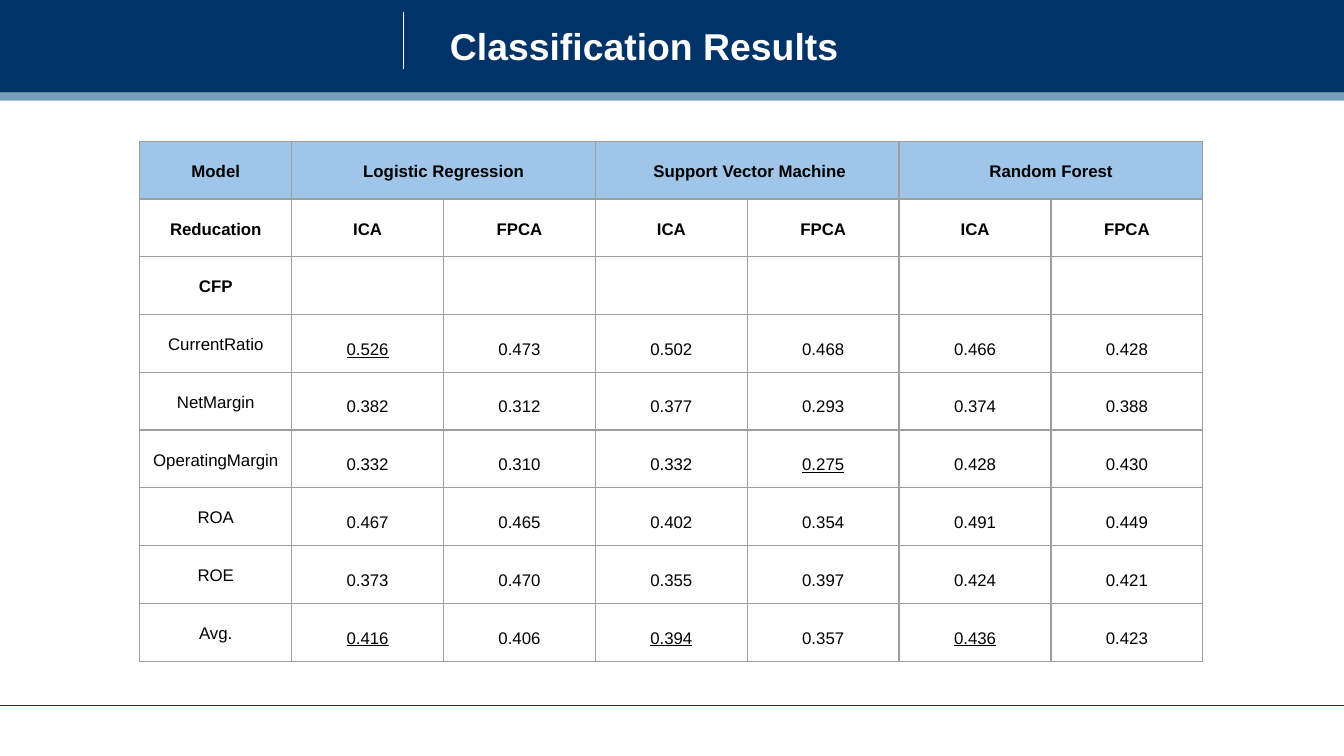
from lxml import etree
from pptx import Presentation
from pptx.dml.color import RGBColor
from pptx.enum.shapes import MSO_CONNECTOR, MSO_SHAPE
from pptx.enum.text import MSO_ANCHOR, PP_ALIGN
from pptx.oxml.ns import qn
from pptx.util import Inches, Pt

RECT = MSO_SHAPE.RECTANGLE
STRAIGHT = MSO_CONNECTOR.STRAIGHT
MIDDLE, BOTTOM = MSO_ANCHOR.MIDDLE, MSO_ANCHOR.BOTTOM
CENTER = PP_ALIGN.CENTER

FONT = "Arial"
NAVY, STEEL, SKY = "003368", "759FB8", "9FC5E8"
WHITE, BLACK, GRAY = "FFFFFF", "000000", "9E9E9E"
COL, ROW = 1.13, 0.43
HEADS = 3

ROWS = [
    ["Model", "Logistic Regression", "", " Support Vector Machine", "",
     "Random Forest", ""],
    ["Reducation"] + ["ICA", "FPCA"] * 3,
    ["CFP"] + [""] * 6,
    ["CurrentRatio", "0.526", "0.473", "0.502", "0.468", "0.466", "0.428"],
    ["NetMargin", "0.382", "0.312", "0.377", "0.293", "0.374", "0.388"],
    ["OperatingMargin", "0.332", "0.310", "0.332", "0.275", "0.428", "0.430"],
    ["ROA", "0.467", "0.465", "0.402", "0.354", "0.491", "0.449"],
    ["ROE", "0.373", "0.470", "0.355", "0.397", "0.424", "0.421"],
    ["Avg.", "0.416", "0.406", "0.394", "0.357", "0.436", "0.423"],
]
MARKED = {(3, 1), (5, 4), (8, 1), (8, 3), (8, 5)}


def color(code):
    """Turn a hex string into a colour."""
    return RGBColor.from_string(code)


def add_bar(slide, top, height, fill):
    """Add a plain bar across the slide."""
    bar = slide.shapes.add_shape(
        RECT, 0, Inches(top), Inches(10), Inches(height))
    bar.shadow.inherit = False
    bar.fill.solid()
    bar.fill.fore_color.rgb = color(fill)
    bar.line.fill.background()


def add_rule(slide, start, end, code):
    """Add a thin straight line between two points."""
    rule = slide.shapes.add_connector(
        STRAIGHT, *(Inches(v) for v in start + end))
    rule.line.color.rgb = color(code)
    rule.line.width = Pt(0.75)
    etree.SubElement(rule._element.spPr, qn("a:effectLst"))


def style(para, size, code, bold, under=False):
    """Set the font of a paragraph."""
    font = para.font
    font.name, font.size, font.bold = FONT, Pt(size), bold
    font.underline = under
    font.color.rgb = color(code)


def add_title(slide, text):
    """Add the slide title in the top bar."""
    box = slide.shapes.add_textbox(
        Inches(3.25), Inches(0.06), Inches(6.33), Inches(0.56))
    frame = box.text_frame
    frame.word_wrap = True
    frame.vertical_anchor = MIDDLE
    frame.text = text
    style(frame.paragraphs[0], 20, WHITE, True)


def set_edges(cell):
    """Draw a thin gray border on every side of a cell."""
    props = cell._tc.get_or_add_tcPr()
    for side in ("a:lnL", "a:lnR", "a:lnT", "a:lnB"):
        edge = etree.SubElement(props, qn(side), w=str(Pt(0.75)))
        fill = etree.SubElement(edge, qn("a:solidFill"))
        etree.SubElement(fill, qn("a:srgbClr"), val=GRAY)


def set_cell(cell, text, row, col):
    """Fill one cell with its text, margins, border and fill."""
    set_edges(cell)
    if row == 0:
        cell.fill.solid()
        cell.fill.fore_color.rgb = color(SKY)
    else:
        cell.fill.background()
    value = row >= HEADS and col > 0
    side, top, low = (0.01, 0.01, 0.1) if value else (0.08, 0.04, 0.04)
    cell.margin_left = cell.margin_right = Inches(side)
    cell.margin_top, cell.margin_bottom = Inches(top), Inches(low)
    cell.vertical_anchor = BOTTOM if value else MIDDLE
    cell.text = text
    para = cell.text_frame.paragraphs[0]
    para.alignment = CENTER
    para.line_spacing = 1.15
    style(para, 9, BLACK, row < HEADS, (row, col) in MARKED)


def add_grid(slide):
    """Add the table of scores by model and reduction."""
    count = len(ROWS[0])
    table = slide.shapes.add_table(
        len(ROWS), count, Inches(1.04), Inches(1.05),
        Inches(COL * count), Inches(ROW * len(ROWS))).table
    table.first_row = table.horz_banding = False
    for line in table.columns:
        line.width = Inches(COL)
    for line in table.rows:
        line.height = Inches(ROW)
    for row, texts in enumerate(ROWS):
        for col, text in enumerate(texts):
            set_cell(table.cell(row, col), text, row, col)
    for col in range(1, count, 2):
        table.cell(0, col).merge(table.cell(0, col + 1))


def main():
    """Build the slide and save it."""
    deck = Presentation()
    deck.slide_width = Inches(10)
    deck.slide_height = Inches(10 * 9 / 16)
    slide = deck.slides.add_slide(deck.slide_layouts[6])
    add_bar(slide, 0, 0.69, NAVY)
    add_rule(slide, (3, 0.09), (3, 0.51), WHITE)
    add_rule(slide, (0, 5.25), (10, 5.25), NAVY)
    add_bar(slide, 0.69, 0.06, STEEL)
    add_title(slide, "Classification Results")
    add_grid(slide)
    deck.save("out.pptx")


if __name__ == "__main__":
    main()
